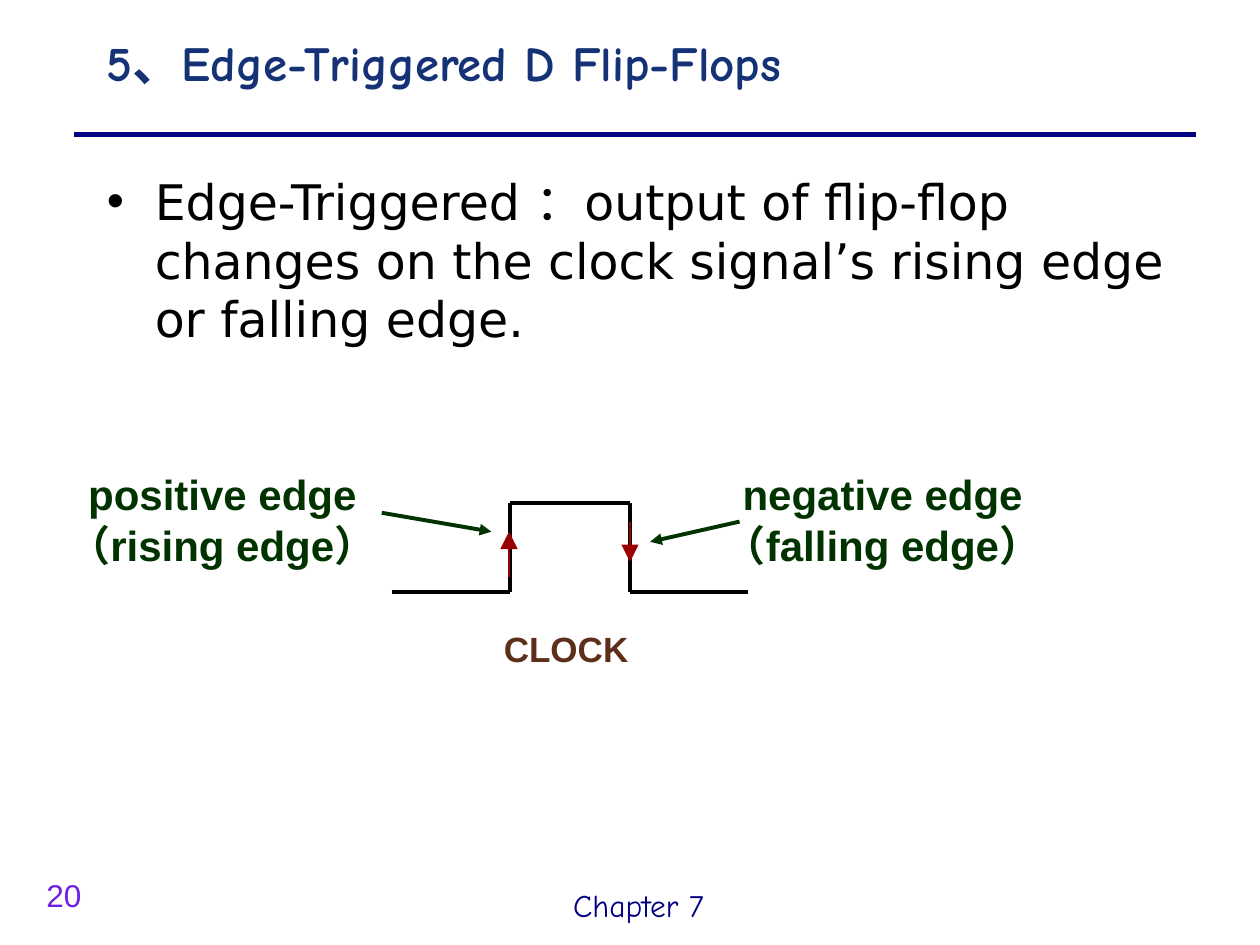
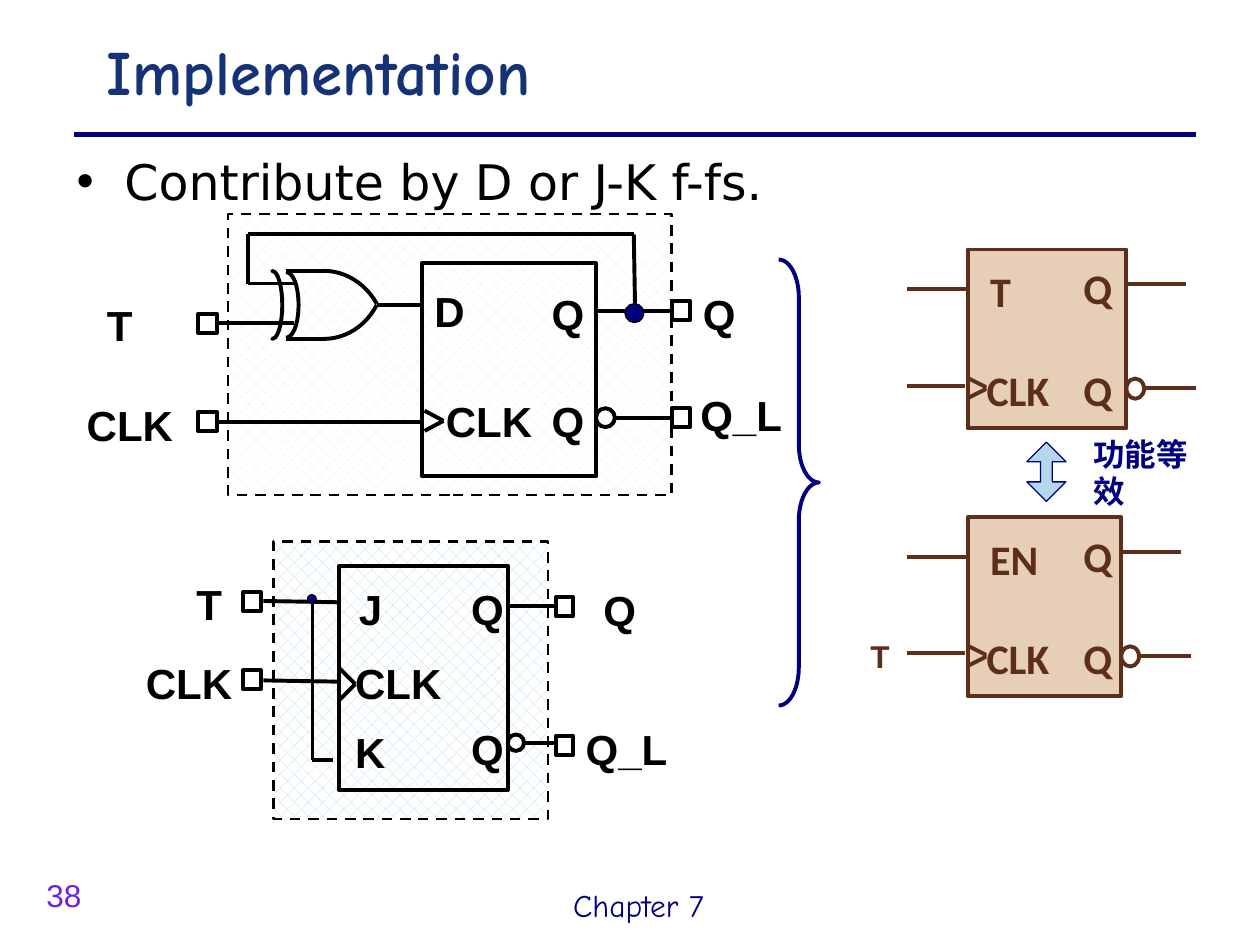
from dataclasses import dataclass
from typing import NamedTuple

from lxml import etree
from pptx import Presentation
from pptx.dml.color import RGBColor
from pptx.enum.dml import MSO_LINE, MSO_PATTERN
from pptx.enum.shapes import MSO_CONNECTOR, MSO_SHAPE
from pptx.enum.text import PP_ALIGN
from pptx.oxml.ns import qn
from pptx.util import Inches, Pt

RECT = MSO_SHAPE.RECTANGLE
OVAL = MSO_SHAPE.OVAL
MOON = MSO_SHAPE.MOON
ARROW = MSO_SHAPE.UP_DOWN_ARROW
BRACE = MSO_SHAPE.RIGHT_BRACE
LINE = MSO_CONNECTOR.STRAIGHT
DASH = MSO_LINE.DASH
HATCH = MSO_PATTERN.PERCENT_25
LEFT, MID = PP_ALIGN.LEFT, PP_ALIGN.CENTER

BLACK = RGBColor(0x00, 0x00, 0x00)
WHITE = RGBColor(0xFF, 0xFF, 0xFF)
NAVY = RGBColor(0x00, 0x00, 0x80)
INK = RGBColor(0x15, 0x32, 0x76)
PURPLE = RGBColor(0x6F, 0x20, 0xE4)
GREEN = RGBColor(0x00, 0x33, 0x00)
RED = RGBColor(0x99, 0x00, 0x00)
BROWN = RGBColor(0x5D, 0x2E, 0x19)
TAN = RGBColor(0xE7, 0xCF, 0xB7)
SKY = RGBColor(0xB4, 0xD7, 0xEB)
MIST = RGBColor(0xEF, 0xEE, 0xF8)

SANS, COMIC, BODY, BOX = "Arial", "Comic Neue", "DejaVu Sans", "Calibri"

WIDE, HIGH = Inches(10), Inches(7.5)
COLS, ROWS = 100, 75


class Area(NamedTuple):
    x: float
    y: float
    w: float
    h: float


class Wire(NamedTuple):
    x1: float
    y1: float
    x2: float
    y2: float


class Label(NamedTuple):
    text: str
    x: float
    y: float
    w: float


class Tip(NamedTuple):
    x: float
    y: float
    dx: float
    dy: float


@dataclass
class Circuit:
    frame: Area
    tint: RGBColor
    block: Area
    ring: Area
    dot: Area
    tip: Tip
    ports: list[Area]
    wires: list[Wire]
    labels: list[Label]


def col(n: float) -> int:
    return round(n * WIDE / COLS)


def row(n: float) -> int:
    return round(n * HIGH / ROWS)


def place(area: Area) -> tuple[int, int, int, int]:
    return col(area.x), row(area.y), col(area.w), row(area.h)


def write(slide, text: str, area: Area, *, size: float = 24, font: str = SANS,
          color: RGBColor = BLACK, bold: bool = True, align=LEFT,
          back: RGBColor | None = None, inset: float = 1, bullet: bool = False) -> None:
    box = slide.shapes.add_textbox(*place(area))
    if back is not None:
        box.fill.solid()
        box.fill.fore_color.rgb = back
    frame = box.text_frame
    frame.word_wrap = True
    frame.margin_left = frame.margin_right = col(inset)
    para = frame.paragraphs[0]
    para.text = text
    para.alignment = align
    if bullet:
        props = para._p.get_or_add_pPr()
        props.set("marL", str(col(3.8)))
        props.set("indent", str(-col(3.8)))
        etree.SubElement(props, qn("a:buFont")).set("typeface", SANS)
        etree.SubElement(props, qn("a:buChar")).set("char", "•")
    for run in para.runs:
        run.font.size = Pt(size)
        run.font.name = font
        run.font.bold = bold
        run.font.color.rgb = color


def stroke(item, color: RGBColor, width: float) -> None:
    item.line.color.rgb = color
    item.line.width = Pt(width)


def wire(slide, path: Wire, color: RGBColor = BLACK, width: float = 2.25,
         head: str = "") -> None:
    line = slide.shapes.add_connector(
        LINE, col(path.x1), row(path.y1), col(path.x2), row(path.y2))
    stroke(line, color, width)
    if head:
        end = etree.SubElement(line.line._get_or_add_ln(), qn("a:tailEnd"))
        end.set("type", "triangle")
        end.set("w", head)
        end.set("len", head)
    etree.SubElement(line._element.spPr, qn("a:effectLst"))


def shape(slide, kind, area: Area, *, fill: RGBColor | None = None,
          color: RGBColor = BLACK, width: float = 2.25, adjust: tuple = ()):
    item = slide.shapes.add_shape(kind, *place(area))
    item.shadow.inherit = False
    stroke(item, color, width)
    if fill is None:
        item.fill.background()
    else:
        item.fill.solid()
        item.fill.fore_color.rgb = fill
    for k, value in enumerate(adjust):
        item.adjustments[k] = value
    return item


def hatch(slide, area: Area, tint: RGBColor) -> None:
    item = shape(slide, RECT, area, width=1.5)
    item.fill.patterned()
    item.fill.pattern = HATCH
    item.fill.fore_color.rgb = tint
    item.fill.back_color.rgb = WHITE
    item.line.dash_style = DASH


def curve(slide, knots: list[tuple[float, float]], steps: int = 12) -> None:
    spots = [knots[0]]
    for k in range(0, len(knots) - 1, 3):
        a, b, c, d = knots[k:k + 4]
        for n in range(1, steps + 1):
            t = n / steps
            u = 1 - t
            spots.append(tuple(
                u**3 * p + 3 * u * u * t * q + 3 * u * t * t * r + t**3 * s
                for p, q, r, s in zip(a, b, c, d)))
    marks = [(col(x), row(y)) for x, y in spots]
    pen = slide.shapes.build_freeform(*marks[0], scale=1.0)
    pen.add_line_segments(marks[1:], close=False)
    item = pen.convert_to_shape()
    item.shadow.inherit = False
    item.fill.background()
    stroke(item, BLACK, 2.25)


def wedge(slide, tip: Tip, color: RGBColor = BLACK) -> None:
    for way in (1, -1):
        wire(slide, Wire(tip.x, tip.y, tip.x - tip.dx, tip.y + way * tip.dy), color)


def gate(slide) -> None:
    shape(slide, MOON, Area(21.6, 21.5, 0.8, 5.4), fill=SKY, adjust=(0,)).rotation = 180
    curve(slide, [(22.7, 21.6), (23.3, 21.6), (23.7, 22.8), (23.7, 24.2),
                  (23.7, 25.6), (23.3, 26.8), (22.7, 26.8)])
    for y in (21.5, 26.9):
        wire(slide, Wire(22.7, y, 25.7, y))
    curve(slide, [(25.7, 21.5), (27.4, 21.5), (29, 22.5), (29.9, 24.1)])
    curve(slide, [(29.9, 24.2), (29.1, 25.8), (27.5, 26.9), (25.7, 26.9)])


def draw(slide, plan: Circuit) -> None:
    hatch(slide, plan.frame, plan.tint)
    shape(slide, RECT, plan.block)
    for path in plan.wires:
        wire(slide, path)
    wedge(slide, plan.tip)
    for port in plan.ports:
        shape(slide, RECT, port)
    shape(slide, OVAL, plan.ring)
    shape(slide, OVAL, plan.dot, fill=NAVY, width=0.75)
    for mark in plan.labels:
        write(slide, mark.text, Area(mark.x, mark.y, mark.w, 5))


def symbol(slide, top: float, width: float, name: str, room: float) -> None:
    left = 76.8
    right = left + width
    shape(slide, RECT, Area(left, top, width, 14.2), fill=TAN, color=BROWN)
    shape(slide, OVAL, Area(right, top + 10.25, 1.4, 1.6), fill=WHITE, color=BROWN)
    for path in (Wire(right + 5.5, top + 11, right + 1.35, top + 11),
                 Wire(right + 4.7, top + 2.75, right, top + 2.75),
                 Wire(left - 0.2, top + 10.8, 72, top + 10.8),
                 Wire(left, top + 3.15, 72, top + 3.15)):
        wire(slide, path, BROWN)
    wedge(slide, Tip(78.4, top + 11, 1.6, 0.8), BROWN)
    for mark, inset in ((Label(name, 77.6, top + 0.8, room), 1),
                        (Label("Q", 85, top + 0.55, 3.8), 1),
                        (Label("Q", 85, top + 8.65, 3.8), 1),
                        (Label("CLK", 78.3, top + 8.65, 6.7), 0)):
        write(slide, mark.text, Area(mark.x, mark.y, mark.w, 5), font=BOX,
              color=BROWN, back=TAN, inset=inset)


def start(deck, number: str, title: str, size: float, body: str, area: Area):
    slide = deck.slides.add_slide(deck.slide_layouts[6])
    wire(slide, Wire(5.9, 10.7, 94.9, 10.7), NAVY, 3)
    write(slide, "Chapter 7", Area(44.5, 69.8, 14.2, 4), size=18, font=COMIC,
          color=NAVY, bold=False)
    write(slide, number, Area(2.7, 69, 7.1, 4), size=18, color=PURPLE, bold=False)
    write(slide, title, Area(7.5, 2.1, 87.4, size / 5), size=size, font=COMIC, color=INK)
    write(slide, body, area, size=28, font=BODY, bold=False, bullet=True)
    return slide


def edges(deck) -> None:
    slide = start(
        deck, "20", "5、Edge-Triggered D Flip-Flops", 28,
        "Edge-Triggered ：output of flip-flop changes on the clock signal’s "
        "rising edge or falling edge.", Area(7.5, 13.1, 88.2, 55.9))
    low, high, rise, fall, run = 47, 39.9, 40.5, 50, 9.4
    for path in (Wire(rise - run, low, rise, low), Wire(rise, high, fall, high),
                 Wire(fall, low, fall + run, low),
                 Wire(rise, low, rise, high), Wire(fall, low, fall, high)):
        wire(slide, path)
    for mark, path in (
            (Label("positive edge\n（rising edge）", 3.5, 36.7, 28.3),
             Wire(30.3, 40.7, 39, 42.2)),
            (Label("negative edge\n（falling edge）", 54.7, 36.7, 30.7),
             Wire(58.7, 41.4, 51.6, 43))):
        write(slide, mark.text, Area(mark.x, mark.y, mark.w, 9.1), color=GREEN, align=MID)
        wire(slide, path, GREEN, head="med")
    for path in (Wire(40.4, 45.8, 40.4, 42.2), Wire(fall, 41.4, fall, 44.6)):
        wire(slide, path, RED, 0.75, "lg")
    write(slide, "CLOCK", Area(39, 49.3, 13.4, 4.3), size=20, color=BROWN)


def build(deck) -> None:
    slide = start(deck, "38", "Implementation", 36, "Contribute by D or J-K f-fs.",
                  Area(5.1, 11.5, 90.7, 15.7))
    draw(slide, Circuit(
        frame=Area(21.7, 43, 21.8, 22), tint=SKY, block=Area(26.9, 44.9, 13.4, 17.8),
        ring=Area(40.3, 58.3, 1.3, 1.3), dot=Area(24.4, 47.2, 0.7, 0.7),
        tip=Tip(28.2, 54.3, 1.3, 1.3),
        ports=[Area(x, y, 1.4, 1.5) for x, y in
               ((19.3, 47), (19.3, 53.2), (44.1, 47.4), (44.1, 58.4))],
        wires=[Wire(26.9, 47.8, 20.9, 47.7), Wire(26.8, 54.1, 20.9, 54),
               Wire(44.1, 48.1, 40.3, 48.1), Wire(44.1, 59, 41.5, 59),
               Wire(26.4, 60.3, 24.8, 60.3), Wire(24.8, 60.3, 24.8, 47.7)],
        labels=[Label("J", 27.5, 45.8, 5.1), Label("CLK", 27.2, 51.7, 10.2),
                Label("K", 27.2, 57.2, 5.1), Label("Q", 36.4, 45.8, 5.1),
                Label("Q", 36.4, 56.9, 5.1), Label("CLK", 10.6, 51.7, 9),
                Label("Q_L", 45.5, 56.9, 10), Label("Q", 46.9, 45.9, 4.9),
                Label("T", 14.6, 45.4, 3.5)]))
    draw(slide, Circuit(
        frame=Area(18.1, 17, 35.2, 22.3), tint=MIST, block=Area(33.5, 20.9, 13.8, 16.9),
        ring=Area(47.3, 32.4, 1.5, 1.5), dot=Area(49.6, 24.1, 1.5, 1.5),
        tip=Tip(35.2, 33.4, 1.5, 0.8),
        ports=[Area(x, y, 1.5, 1.5) for x, y in
               ((15.7, 24.9), (15.7, 32.7), (53.3, 23.9), (53.3, 32.4))],
        wires=[Wire(33.5, 24.2, 29.9, 24.2), Wire(53.3, 33.2, 48.8, 33.2),
               Wire(53.3, 24.7, 47.3, 24.7), Wire(50.4, 24.1, 50.3, 18.6),
               Wire(50.3, 18.6, 19.7, 18.6), Wire(19.7, 18.6, 19.7, 22.5),
               Wire(23.3, 25.6, 17.3, 25.6), Wire(23.3, 22.5, 19.7, 22.5),
               Wire(33.5, 33.5, 17.3, 33.5)],
        labels=[Label("Q_L", 54.6, 30.4, 9.4), Label("CLK", 5.9, 31.2, 9.6),
                Label("Q", 54.8, 22.4, 5.3), Label("D", 33.5, 22.2, 3.6),
                Label("CLK", 34.4, 30.9, 9.1), Label("Q", 42.8, 22.4, 3.6),
                Label("Q", 42.8, 30.9, 3.6), Label("T", 7.5, 23.3, 8.3)]))
    gate(slide)
    symbol(slide, 19.8, 12.6, "T", 4.7)
    symbol(slide, 41.05, 12.2, "EN", 5.9)
    write(slide, "T", Area(68.1, 50.1, 4.7, 4), size=18, color=BROWN)
    shape(slide, ARROW, Area(81.5, 35.1, 3.1, 4.7), fill=SKY, color=NAVY,
          width=0.75, adjust=(0.5, 0.3))
    write(slide, "功能等效", Area(85.8, 34, 11.8, 7), size=18, color=NAVY)
    shape(slide, BRACE, Area(61.8, 20.6, 3.2, 35.4), color=NAVY, adjust=(0.94, 0.5))


def main() -> None:
    deck = Presentation()
    deck.slide_width, deck.slide_height = WIDE, HIGH
    edges(deck)
    build(deck)
    deck.save("out.pptx")


if __name__ == "__main__":
    main()
